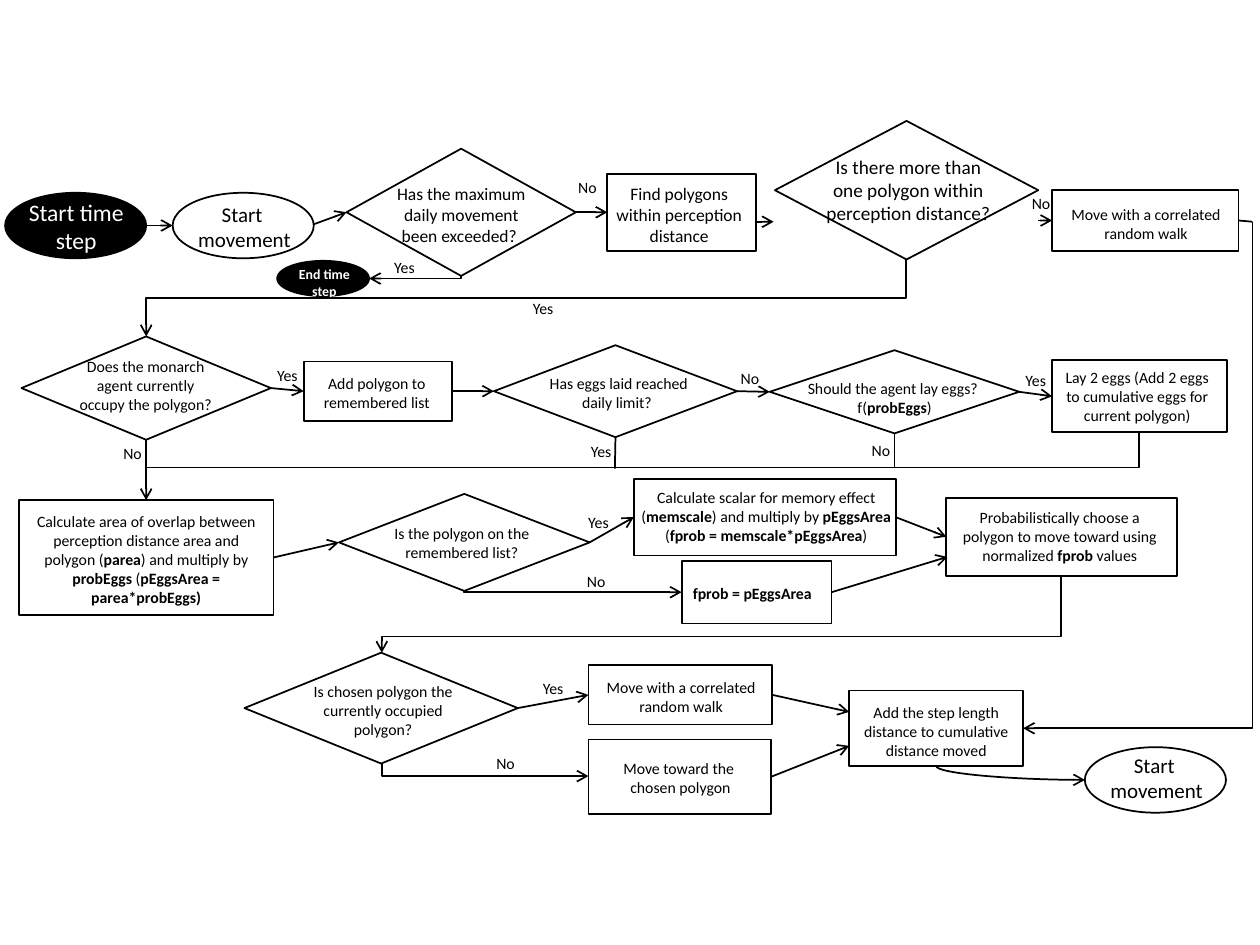
from pptx import Presentation
from pptx.dml.color import RGBColor
from pptx.enum.shapes import MSO_CONNECTOR, MSO_SHAPE
from pptx.enum.text import MSO_AUTO_SIZE, PP_ALIGN
from pptx.oxml.ns import qn
from pptx.util import Emu, Pt
from lxml.etree import SubElement

PX = 9144
BLACK, WHITE = "000000", "FFFFFF"
OVAL, RECT, DECISION = MSO_SHAPE.OVAL, MSO_SHAPE.RECTANGLE, MSO_SHAPE.FLOWCHART_DECISION
TOP, LEFT, BOTTOM, RIGHT = range(4)


def px(*values):
    """Turn px lengths into EMU."""
    return [Emu(round(v * PX)) for v in values]


def colour(hex_string):
    """Turn a hex string into a colour."""
    return RGBColor.from_string(hex_string)


def write(shapes, box, text, size=9, ink=BLACK, align=PP_ALIGN.CENTER, wrap=True, bold=None):
    """Add a text box; newlines split paragraphs and bars switch bold on and off."""
    tf = shapes.add_textbox(*px(*box)).text_frame
    tf.word_wrap = wrap
    tf.auto_size = MSO_AUTO_SIZE.SHAPE_TO_FIT_TEXT
    for i, line in enumerate(text.split("\n")):
        p = tf.paragraphs[0] if i == 0 else tf.add_paragraph()
        p.alignment = align
        p.font.name, p.font.size, p.font.bold = "Calibri", Pt(size), bold
        p.font.color.rgb = colour(ink)
        for j, part in enumerate(line.split("|")):
            if part:
                r = p.add_run()
                r.text = part
                if j % 2:
                    r.font.bold = True


def caption(s, origin, at, text):
    """Add a Yes or No beside a branch."""
    box = (origin[0] + at[0], origin[1] + at[1], 38 if text == "Yes" else 35, 25)
    write(s.shapes, box, text, align=PP_ALIGN.LEFT, wrap=False)


def node(s, origin, kind, box, inner, text, fill=None, **style):
    """Add an outlined shape grouped with its text, whose box is relative to the shape."""
    x, y = origin[0] + box[0], origin[1] + box[1]
    group = s.shapes.add_group_shape()
    sp = group.shapes.add_shape(kind, *px(x, y, *box[2:]))
    sp.shadow.inherit = False
    if fill:
        sp.fill.solid()
        sp.fill.fore_color.rgb = colour(fill)
    else:
        sp.fill.background()
    sp.line.color.rgb = colour(BLACK)
    sp.line.width = Pt(1)
    write(group.shapes, (x + inner[0], y + inner[1], *inner[2:]), text,
          ink=WHITE if fill else BLACK, wrap=kind != OVAL, **style)
    return sp


def start_movement(s, origin, at, drop):
    """Add the oval that opens a movement."""
    return node(s, origin, OVAL, (*at, 112, 52), (10, drop, 94, 50), "Start \nmovement", size=12)


def finish(c, arrow):
    """Give a connector its line and optional arrowhead."""
    c.line.color.rgb = colour(BLACK)
    c.line.width = Pt(1)
    if arrow:
        SubElement(c.line._get_or_add_ln(), qn("a:tailEnd"), type="arrow")
    SubElement(c._element.spPr, qn("a:effectLst"))


def link(s, origin, start, end, arrow=True):
    """Draw a straight line; each end is a point or a (node, side) pair."""
    is_point = [isinstance(e[0], int) for e in (start, end)]
    ends = [(origin[0] + e[0], origin[1] + e[1]) if free else (0, 0)
            for e, free in zip((start, end), is_point)]
    c = s.shapes.add_connector(MSO_CONNECTOR.STRAIGHT, *px(*ends[0], *ends[1]))
    if not is_point[0]:
        c.begin_connect(*start)
    if not is_point[1]:
        c.end_connect(*end)
    finish(c, arrow)


def chain(s, *nodes):
    """Join nodes from right side to left side."""
    for a, b in zip(nodes, nodes[1:]):
        link(s, (0, 0), (a, RIGHT), (b, LEFT))


def bend(s, origin, start, end, preset="bentConnector2", adj=None, arrow=True):
    """Draw a connector that leaves downwards, then turns left or right."""
    dx, dy = end[0] - start[0], end[1] - start[1]
    x = origin[0] + (start[0] + end[0] - dy) / 2
    y = origin[1] + (start[1] + end[1] - abs(dx)) / 2
    c = s.shapes.add_connector(MSO_CONNECTOR.ELBOW, *px(x, y, x + dy, y + abs(dx)))
    xfrm = c._element.spPr.find(qn("a:xfrm"))
    xfrm.set("rot", str((90 if dx < 0 else 270) * 60000))
    if dx > 0:
        xfrm.set("flipH", "1")
    geom = c._element.spPr.find(qn("a:prstGeom"))
    geom.set("prst", preset)
    if adj:
        SubElement(geom.find(qn("a:avLst")), qn("a:gd"), name="adj1", fmla=f"val {adj}")
    finish(c, arrow)


def search_row(s, o):
    """Place the steps from the start to the search for polygons."""
    node(s, o, OVAL, (4, 57, 112, 52), (8, -1, 97, 56), "Start time\nstep", BLACK, size=13.5)
    start_movement(s, o, (137, 57), 2)
    limit = node(s, o, DECISION, (275, 22, 182, 101), (27, 22, 128, 75),
                 "Has the maximum daily movement been exceeded? ", size=10)
    node(s, o, OVAL, (220, 111, 73, 28), (6, -1, 63, 37), "End time\nstep", BLACK,
         size=7.9, bold=True)
    find = node(s, o, RECT, (482, 42, 118, 61), (-7, 2, 128, 78),
                "Find polygons within perception distance", size=10)
    node(s, o, DECISION, (615, 0, 209, 110), (26, 22, 160, 85),
         "Is there more than one polygon within perception distance?", size=11)
    walk = node(s, o, RECT, (835, 55, 148, 48), (3, 7, 143, 40),
                "Move with a correlated random walk")
    link(s, o, (116, 83), (137, 83))
    link(s, o, (249, 82), (limit, LEFT))
    chain(s, limit, find)
    link(s, o, (600, 80), (614, 80))
    link(s, o, (824, 79), (walk, LEFT))
    link(s, o, (walk, RIGHT), (994, 80), arrow=False)
    bend(s, o, (366, 123), (293, 125))
    for at, text in (((303, 104), "Yes"), ((449, 40), "No"), ((809, 53), "No")):
        caption(s, o, at, text)


def egg_row(s, o):
    """Place the egg laying steps and return the first one."""
    occupy = node(s, o, DECISION, (2, 0, 198, 82), (31, 11, 135, 56),
                  "Does the monarch agent currently occupy the polygon?")
    remember = node(s, o, RECT, (226, 20, 118, 47), (-4, 5, 124, 40),
                    "Add polygon to remembered list")
    limit = node(s, o, DECISION, (377, 7, 193, 73), (30, 18, 138, 40),
                 "Has eggs laid reached daily limit? ")
    should = node(s, o, DECISION, (596, 11, 198, 66), (14, 18, 170, 40),
                  "Should the agent lay eggs? \nf(|probEggs|)")
    lay = node(s, o, RECT, (820, 19, 139, 57), (-1, 1, 137, 56),
               "Lay 2 eggs (Add 2 eggs to cumulative eggs for current polygon)")
    chain(s, occupy, remember, limit, should, lay)
    bend(s, o, (889, 76), (101, 104), arrow=False)
    link(s, o, (limit, BOTTOM), (473, 105), arrow=False)
    link(s, o, (should, BOTTOM), (695, 104), arrow=False)
    for at, text in (((195, 18), "Yes"), ((563, 21), "No"), ((789, 22), "Yes"),
                     ((73, 80), "No"), ((444, 79), "Yes"), ((667, 78), "No")):
        caption(s, o, at, text)
    return occupy


def choice_row(s, o):
    """Place the steps that choose a polygon and return the first one."""
    overlap = node(s, o, RECT, (0, 17, 202, 91), (-3, 4, 208, 108),
                   "Calculate area of overlap between perception distance area and polygon "
                   "(|parea|) and multiply by |probEggs| (|pEggsArea = parea*probEggs)|")
    listed = node(s, o, DECISION, (254, 12, 199, 77), (11, 19, 173, 40),
                  "Is the polygon on the remembered list?")
    scale = node(s, o, RECT, (488, 0, 208, 61), (-6, 2, 222, 56),
                 "Calculate scalar for memory effect (|memscale|) and multiply by "
                 "|pEggsArea| (|fprob = memscale*pEggsArea|)")
    fprob = node(s, o, RECT, (526, 65, 119, 50), (-1, 13, 121, 25), "fprob = pEggsArea",
                 align=PP_ALIGN.LEFT, bold=True)
    choose = node(s, o, RECT, (736, 15, 183, 62), (1, 3, 178, 56),
                  "Probabilistically choose a polygon to move toward using normalized "
                  "|fprob| values")
    chain(s, overlap, listed, scale, choose)
    bend(s, o, (353, 89), (526, 90))
    link(s, o, (fprob, RIGHT), (737, 62))
    caption(s, o, (442, 22), "Yes")
    caption(s, o, (441, 69), "No")
    return overlap


def move_row(s, o):
    """Place the steps that move the agent."""
    chosen = node(s, o, DECISION, (0, 0, 217, 88), (41, 18, 138, 56),
                  "Is chosen polygon the currently occupied polygon?")
    walk = node(s, o, RECT, (273, 10, 146, 47), (-1, 5, 149, 40),
                "Move with a correlated random walk")
    toward = node(s, o, RECT, (273, 69, 145, 59), (-5, 10, 156, 40),
                  "Move toward the \nchosen polygon")
    node(s, o, RECT, (480, 30, 138, 60), (-9, 5, 156, 56),
         "Add the step length distance to cumulative distance moved")
    start_movement(s, o, (667, 75), -1)
    chain(s, chosen, walk)
    bend(s, o, (109, 88), (273, 98))
    link(s, o, (walk, RIGHT), (480, 47))
    link(s, o, (toward, RIGHT), (480, 74))
    bend(s, o, (549, 90), (667, 101), "curvedConnector2")
    caption(s, o, (227, 16), "Yes")
    caption(s, o, (190, 75), "No")


def main():
    """Build the flow chart slide."""
    prs = Presentation()
    prs.slide_width, prs.slide_height = px(1000, 750)
    s = prs.slides.add_slide(prs.slide_layouts[6])
    page = (0, 0)
    search_row(s, (0, 96))
    occupy = egg_row(s, (15, 267))
    overlap = choice_row(s, (15, 380))
    move_row(s, (194, 518))
    link(s, page, (occupy, BOTTOM), (overlap, TOP))
    bend(s, page, (719, 206), (116, 267), "bentConnector3", 50000)
    bend(s, page, (842, 457), (303, 518), "bentConnector3", 79100)
    bend(s, page, (994, 176), (812, 578))
    caption(s, page, (413, 232), "Yes")
    prs.save("out.pptx")


if __name__ == "__main__":
    main()
